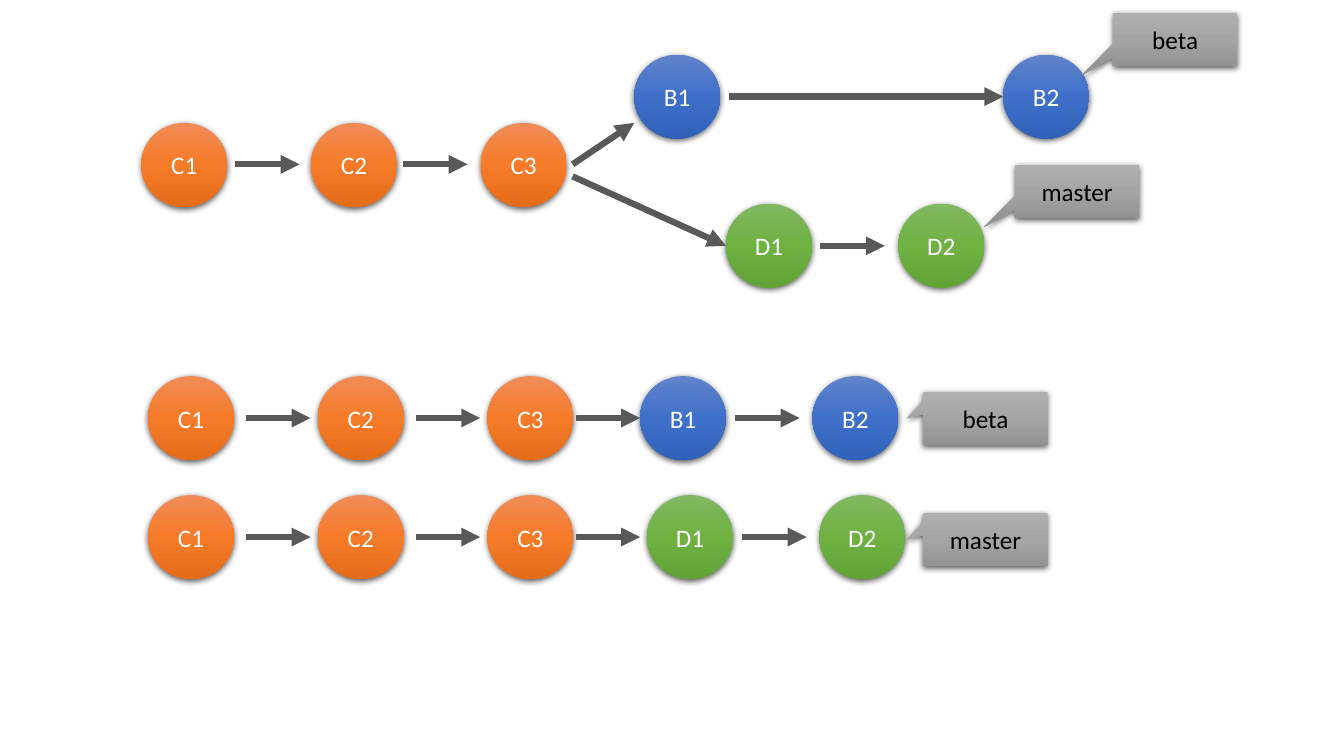
from collections import namedtuple
from copy import deepcopy

from lxml.etree import SubElement
from pptx import Presentation
from pptx.dml.color import RGBColor as Color
from pptx.enum.shapes import MSO_CONNECTOR as Connector, MSO_SHAPE as Preset
from pptx.enum.text import MSO_ANCHOR as Anchor, PP_ALIGN as Align
from pptx.oxml.ns import qn
from pptx.util import Pt

COLORS = {
    "common": ("F18C57", "F67B28", "E56C19"),
    "beta": ("6183CB", "3E70CA", "3062BB"),
    "master": ("81B861", "6FB242", "62A336"),
    "label": ("AFAFAF", "A5A5A5", "939393"),
    "arrow": "595959",
    "light": "FFFFFF",
    "dark": "000000",
}
FONT = {"name": "Calibri", "size": Pt(18)}
SHADOW = {"blurRad": Pt(4.5), "dist": Pt(1.5), "dir": 5400000, "rotWithShape": 0}
COMMIT_WIDTH, COMMIT_HEIGHT = 61.4, 60
LABEL_WIDTH, LABEL_HEIGHT = 88.8, 37.7
COMMIT_STEP = 121.2
TIP_STEP = 123.1
ARROW_LENGTH = 46

Box = namedtuple("Box", "left top")


def shade(shape, colors):
    fill = shape.fill
    fill.gradient()
    fill.gradient_angle = 270
    stops = shape._element.spPr.find(".//" + qn("a:gsLst"))
    stops.append(deepcopy(stops[-1]))
    for stop, position, color in zip(fill.gradient_stops, (0, 0.5, 1), colors):
        stop.position = position
        stop.color.rgb = Color.from_string(color)
    shape.line.fill.background()


def cast_shadow(shape):
    shape.shadow.inherit = False
    effects = shape._element.spPr.find(qn("a:effectLst"))
    values = {name: str(value) for name, value in SHADOW.items()}
    outer = SubElement(effects, qn("a:outerShdw"), values)
    color = SubElement(outer, qn("a:srgbClr"), val=COLORS["dark"])
    SubElement(color, qn("a:alpha"), val="63000")


def add_block(page, box, preset, frame, text, palette, ink):
    x, y, width, height = frame
    shape = page.shapes.add_shape(
        preset, Pt(box.left + x), Pt(box.top + y), Pt(width), Pt(height))
    shade(shape, COLORS[palette])
    cast_shadow(shape)
    shape.text_frame.vertical_anchor = Anchor.MIDDLE
    para = shape.text_frame.paragraphs[0]
    para.alignment = Align.CENTER
    span = para.add_run()
    span.text = text
    for name, value in FONT.items():
        setattr(span.font, name, value)
    span.font.color.rgb = Color.from_string(COLORS[ink])
    return shape


def add_commit(page, box, x, y, name, branch):
    frame = (x, y, COMMIT_WIDTH, COMMIT_HEIGHT)
    add_block(page, box, Preset.OVAL, frame, name, branch, "light")


def add_label(page, box, x, y, name, pointer):
    frame = (x, y, LABEL_WIDTH, LABEL_HEIGHT)
    label = add_block(page, box, Preset.RECTANGULAR_CALLOUT, frame, name, "label", "dark")
    for index, value in enumerate(pointer):
        label.adjustments[index] = value


def add_arrow(page, box, x, y, end_x, end_y):
    arrow = page.shapes.add_connector(
        Connector.STRAIGHT, Pt(box.left + x), Pt(box.top + y),
        Pt(box.left + end_x), Pt(box.top + end_y))
    arrow.line.width = Pt(4.5)
    arrow.line.color.rgb = Color.from_string(COLORS["arrow"])
    properties = arrow._element.spPr
    SubElement(properties.find(qn("a:ln")), qn("a:tailEnd"), type="triangle")
    SubElement(properties, qn("a:effectLst"))


def add_common_commits(page, box, y):
    for index in range(3):
        add_commit(page, box, index * COMMIT_STEP, y, f"C{index + 1}", "common")


def draw_fork(page, box):
    add_common_commits(page, box, 78.8)
    for name, x, y, branch in (
        ("B1", 352, 30, "beta"),
        ("B2", 615.6, 30, "beta"),
        ("D1", 417.6, 136.4, "master"),
        ("D2", 540.7, 136.4, "master"),
    ):
        add_commit(page, box, x, y, name, branch)
    for ends in (
        (67, 108.4, 67 + ARROW_LENGTH, 108.4),
        (187, 108.4, 187 + ARROW_LENGTH, 108.4),
        (419.6, 60, 615.6, 60),
        (485, 166.6, 485 + ARROW_LENGTH, 166.6),
        (308, 108.4, 352, 78.8),
        (308, 117, 417.6, 166.6),
    ):
        add_arrow(page, box, *ends)
    for name, x, y in (("beta", 694, 0.4), ("master", 624, 109)):
        add_label(page, box, x, y, name, (-0.746, 0.667))


def draw_branch(page, box, branch, letter, tip_x, label_y):
    middle = COMMIT_HEIGHT / 2
    add_common_commits(page, box, 0)
    for index in range(2):
        add_commit(page, box, tip_x + index * TIP_STEP, 0, f"{letter}{index + 1}", branch)
    for x in (70, 70 + COMMIT_STEP, 305.4, tip_x + 68):
        add_arrow(page, box, x, middle, x + ARROW_LENGTH, middle)
    add_label(page, box, 553.7, label_y, branch, (-0.629, -0.006))


deck = Presentation()
deck.slide_width, deck.slide_height = Pt(960), Pt(540)
page = deck.slides.add_slide(deck.slide_layouts[6])
draw_fork(page, Box(101, 9))
draw_branch(page, Box(105.8, 268.6), "beta", "B", 351.4, 11.5)
draw_branch(page, Box(105.8, 353.6), "master", "D", 356.4, 13)
deck.save("out.pptx")
